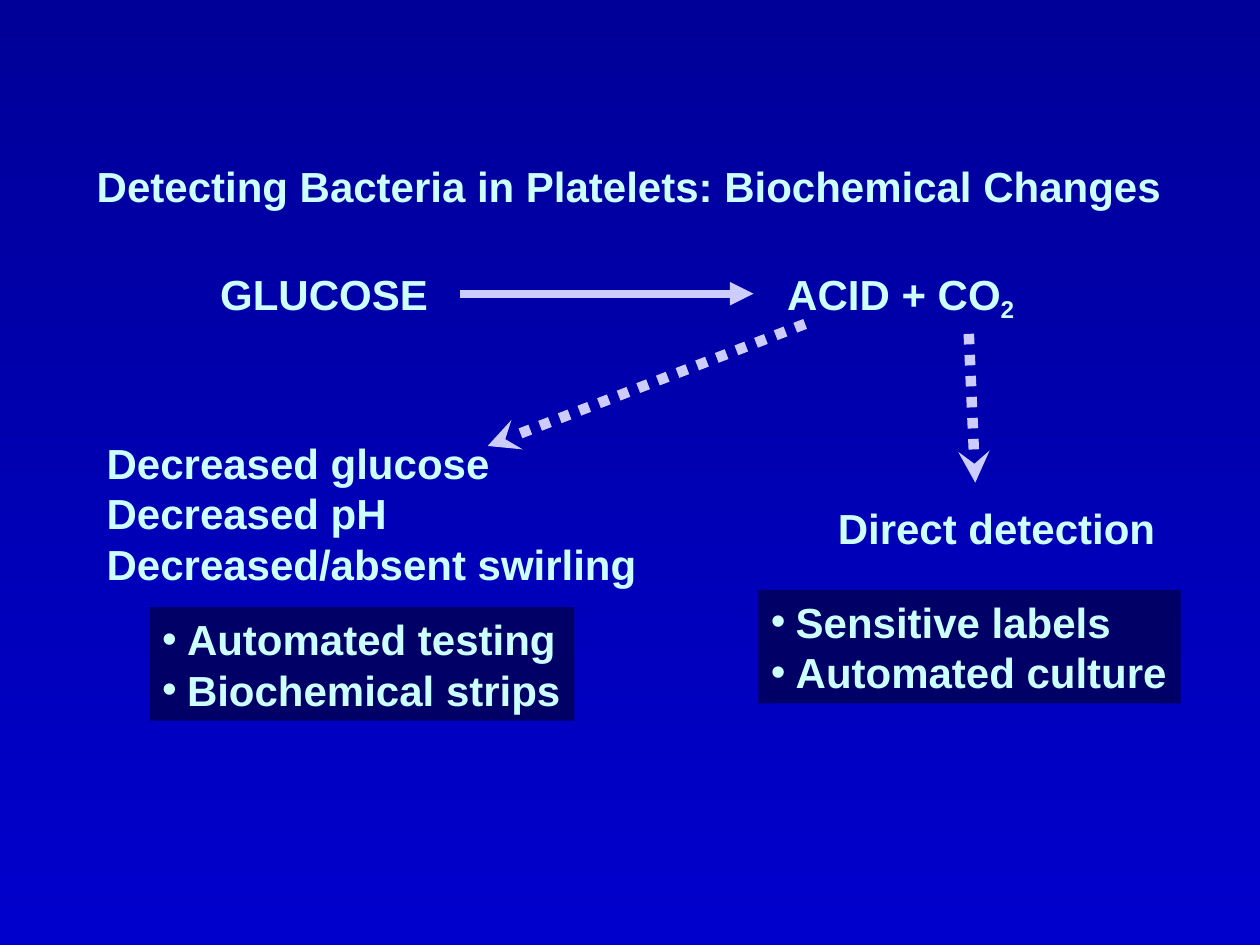
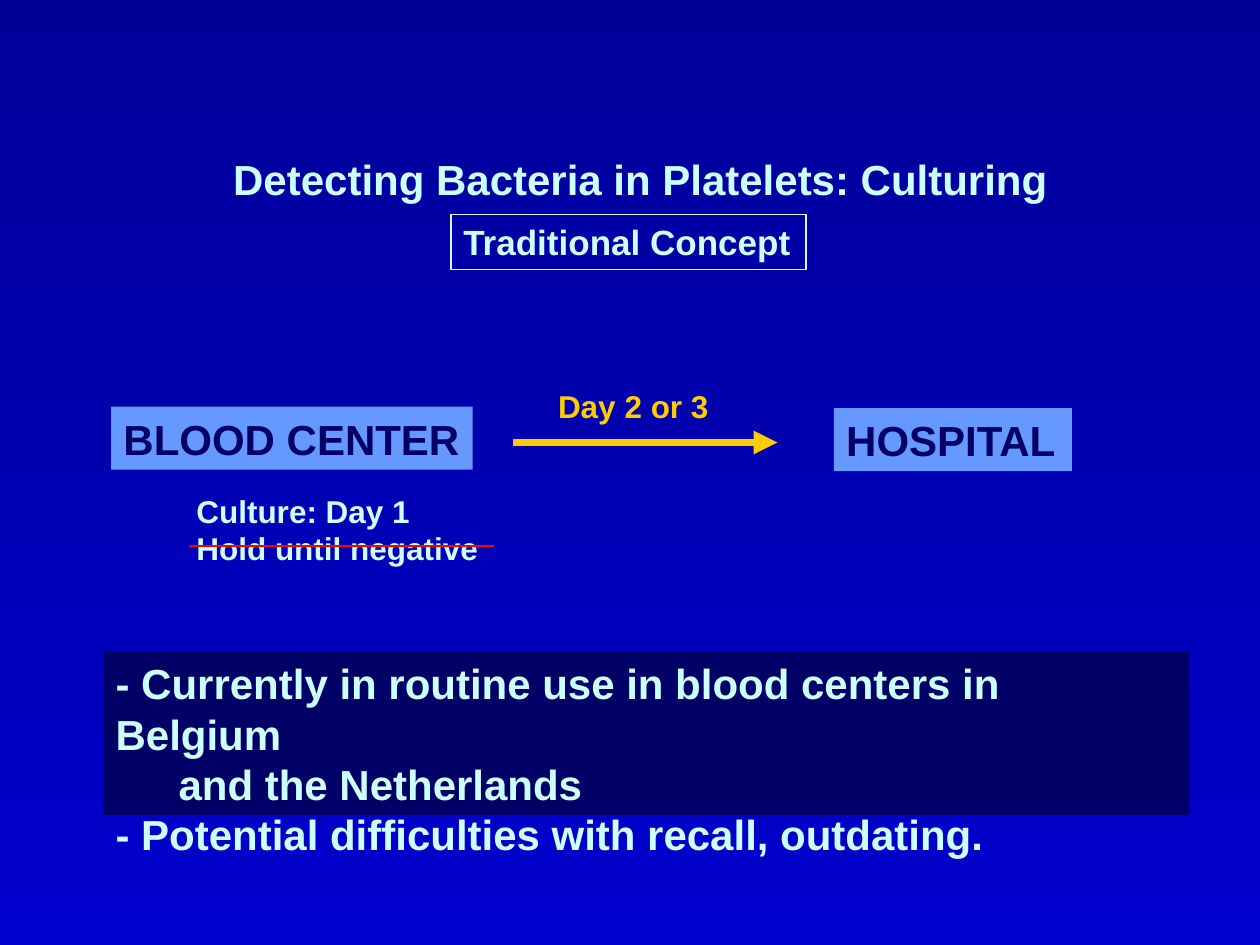
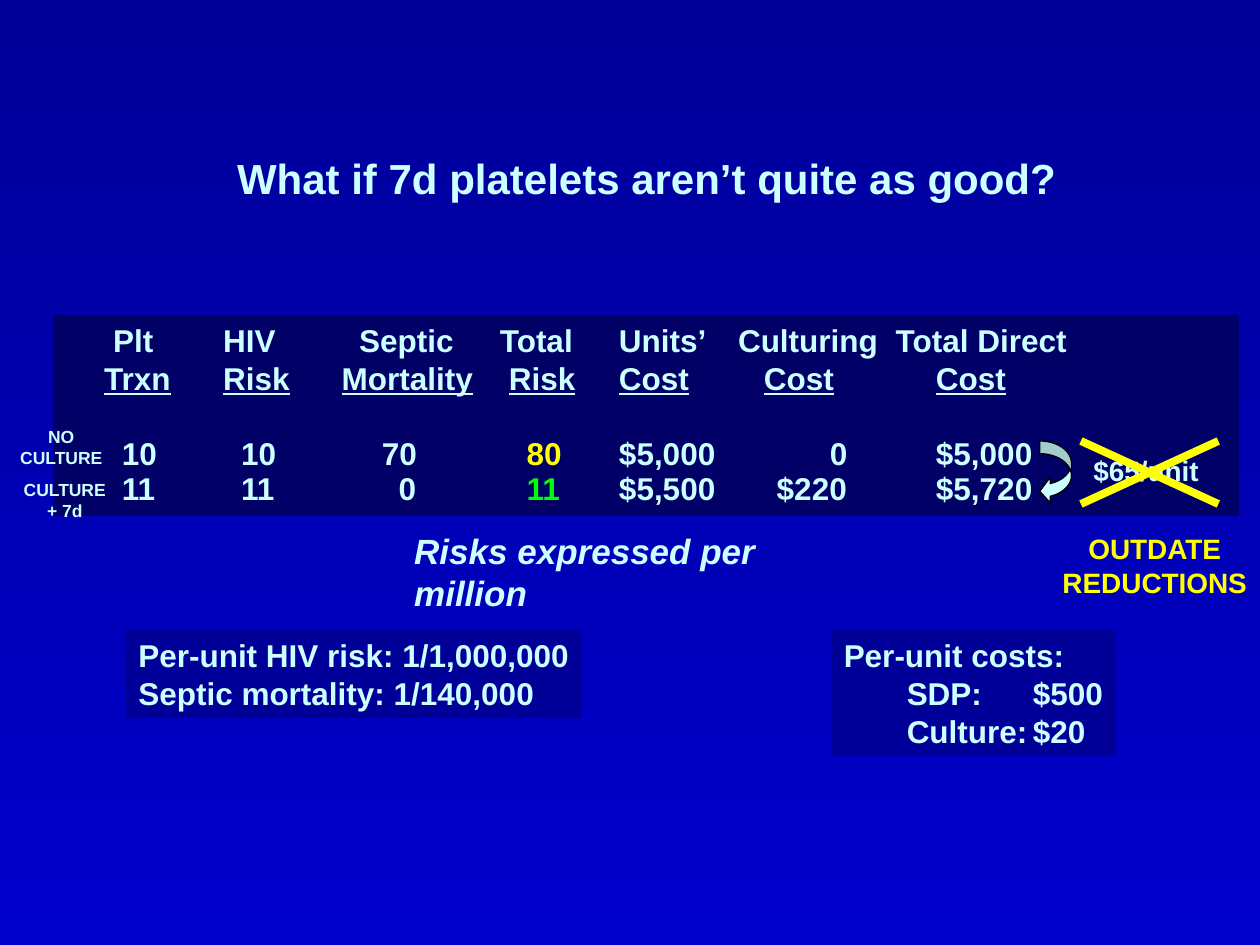
from lxml.etree import SubElement as Sub
from pptx import Presentation
from pptx.dml.color import RGBColor
from pptx.enum.dml import MSO_LINE as Dash
from pptx.enum.shapes import MSO_CONNECTOR as Conn, MSO_SHAPE as Form
from pptx.enum.text import MSO_ANCHOR as Anchor, MSO_AUTO_SIZE as Auto, PP_ALIGN as Align
from pptx.oxml.ns import qn
from pptx.util import Cm, Pt

PALE, NAVY, DEEP, BLUE = "CCFFFF", "000066", "000099", "0000CC"
SKY, LILAC, GOLD = "6699FF", "CCCCFF", "FFCC00"
YELLOW, GREEN, RED, BLACK = "FFFF00", "00FF00", "FF0000", "000000"
PLAIN = "{2D5ABB26-0587-4C30-8999-92F81FD0307C}"
TABS = (1.27, 3.81)
HANG = 0.5

SLIDES = [
    dict(
        layout=3,
        title=("Detecting Bacteria in Platelets: Biochemical Changes", (1.7, 3.1, 22.5, 1.27)),
        lists=[
            (["• Automated testing", "• Biochemical strips"], (3.02, 12.24, 8.56, 2.29), {}),
            (["• Sensitive labels", "• Automated culture"], (15.29, 11.89, 8.51, 2.29), {}),
        ],
        boxes=[
            (["GLUCOSE"], (4.19, 5.28, 4.7, 1.27), {}),
            (["ACID + CO_2"], (15.62, 5.28, 5.2, 1.27), {}),
            (["Decreased glucose", "Decreased pH", "Decreased/absent swirling"],
             (1.9, 8.69, 11.2, 3.3), {}),
            (["Direct detection"], (16.64, 10.01, 6.9, 1.27), {}),
        ],
        lines=[
            ((9.27, 5.92, 15.19, 5.92), LILAC, 4.5, "triangle", None),
            ((16.23, 6.53, 9.83, 8.99), LILAC, 6, "stealth", Dash.ROUND_DOT),
            ((19.53, 6.73, 19.66, 9.73), LILAC, 6, "stealth", Dash.ROUND_DOT),
        ],
    ),
    dict(
        layout=1,
        title=("Detecting Bacteria in Platelets: Culturing", (4.45, 2.97, 17.5, 1.27)),
        lists=[
            (["- Currently in routine use in blood centers in Belgium",
              "\tand the Netherlands",
              "- Potential difficulties with recall, outdating."],
             (2.08, 13.13, 21.89, 3.3), dict(right=0.5)),
        ],
        boxes=[
            (["Traditional Concept"], (9.09, 4.32, 7.16, 1.12), dict(size=20, edge=PALE)),
            (["BLOOD CENTER"], (2.24, 8.2, 7.29, 1.27), dict(fill=SKY, color=NAVY)),
            (["HOSPITAL"], (16.81, 8.23, 4.8, 1.27), dict(fill=SKY, color=NAVY)),
            (["Culture: Day 1", "Hold until negative"], (3.71, 9.78, 6.2, 1.78), dict(size=18)),
            (["Day 2 or 3"], (11, 7.67, 3.56, 1.02), dict(size=18, color=GOLD)),
        ],
        lines=[
            ((10.34, 8.92, 15.67, 8.92), GOLD, 4.5, "triangle", None),
            ((3.81, 11, 9.96, 11), RED, 1, None, None),
        ],
    ),
    dict(
        layout=5,
        title=("What if 7d platelets aren’t quite as good?", (4.53, 2.95, 18, 1.27)),
        table=True,
        boxes=[
            (["Per-unit costs:", "\tSDP:\t$500", "\tCulture:\t$20"],
             (16.76, 12.7, 5.74, 2.54), dict(size=18, fill=DEEP)),
            (["Per-unit HIV risk: 1/1,000,000", "Septic mortality: 1/140,000"],
             (2.54, 12.7, 9.19, 1.78), dict(size=18, fill=DEEP)),
            (["Risks expressed per million"], (8.1, 10.54, 9.2, 1.09), dict(size=20, italic=True)),
            (["$65/unit"], (21.79, 9.02, 2.64, 0.94), dict(size=16)),
            (["OUTDATE", "REDUCTIONS"], (21.16, 10.59, 4.24, 1.63),
             dict(size=16, color=YELLOW, mid=True)),
            (["NO", "CULTURE"], (0.13, 8.46, 2.21, 1.09), dict(size=10, mid=True)),
            (["CULTURE", "+ 7d"], (0.2, 9.53, 2.21, 1.09), dict(size=10, mid=True)),
        ],
        lines=[
            ((21.79, 8.89, 24.56, 10.16), YELLOW, 4.5, None, None),
            ((21.79, 10.16, 24.56, 8.89), YELLOW, 4.5, None, None),
        ],
        arrow=(20.96, 8.89, 0.64, 1.27),
    ),
]

EDGES = [1.06, 4.2, 6.6, 9.8, 12.2, 14.7, 18, 24.98]
COSTS = [
    [("Plt", 2.28), ("Trxn", 2.1), ("10", 2.46), ("11", 2.46)],
    [("HIV", 4.5), ("Risk", 4.5), ("10", 4.86), ("11", 4.86)],
    [("Septic", 7.24), ("Mortality", 6.89), ("70", 7.7), ("0", 8.04)],
    [("Total", 10.08), ("Risk", 10.26), ("80", 10.62), ("11", 10.62)],
    [("Units’", 12.48), ("Cost", 12.48), ("$5,000", 12.48), ("$5,500", 12.48)],
    [("Culturing", 14.88), ("Cost", 15.4), ("0", 16.73), ("$220", 15.66)],
    [("Total Direct", 18.06), ("Cost", 18.87), ("$5,000", 18.87), ("$5,720", 18.87)],
]
ROWS = [0.89, 0.77, 1.51, 0.89]
MARKS = {(2, 3): YELLOW, (3, 3): GREEN}


def rgb(code):
    """Turn a hex string into a colour."""
    return RGBColor.from_string(code)


def put(obj, vals):
    """Set each attribute named in a dict."""
    for key, val in vals.items():
        setattr(obj, key, val)


def place(shape, spot):
    """Move and size a shape in centimetres."""
    put(shape, dict(zip(("left", "top", "width", "height"), map(Cm, spot))))


def add_run(para, text, size=24, color=PALE, **more):
    """Add one bold run in the deck's font."""
    run = para.add_run()
    run.text = text
    put(run.font, dict(name="Arial", size=Pt(size), bold=True, **more))
    run.font.color.rgb = rgb(color)
    return run


def write(shape, paras, size=24, color=PALE, mid=False, right=0, list_=False, **more):
    """Fill a shape with formatted paragraphs."""
    frame = shape.text_frame
    put(frame, dict(word_wrap=True, auto_size=Auto.NONE, vertical_anchor=Anchor.TOP,
                    margin_left=Cm(0 if mid else 0.25), margin_right=Cm(right),
                    margin_top=Cm(0.13), margin_bottom=Cm(0.13)))
    for num, text in enumerate(paras):
        para = frame.add_paragraph() if num else frame.paragraphs[0]
        put(para, dict(alignment=Align.CENTER if mid else Align.LEFT, space_before=Pt(0)))
        props = para._p.get_or_add_pPr()
        dot = text.startswith("• ")
        if list_:
            hang = Cm(HANG) if dot else 0
            props.set("marL", str(hang))
            props.set("indent", str(-hang))
            if dot:
                Sub(props, qn("a:buChar"), char="•")
            else:
                Sub(props, qn("a:buNone"))
        if text.startswith("\t"):
            stops = Sub(props, qn("a:tabLst"))
            for stop in TABS:
                Sub(stops, qn("a:tab"), pos=str(Cm(stop)), algn="l")
        base, _, low = text.removeprefix("• ").partition("_")
        add_run(para, base, size, color, **more)
        if low:
            run = add_run(para, low, size, color, **more)
            run.font._element.set("baseline", "-20000")


def paint(shape, fill=None, edge=None):
    """Set the fill and the outline of a shape."""
    if fill:
        shape.fill.solid()
        shape.fill.fore_color.rgb = rgb(fill)
    else:
        shape.fill.background()
    if edge:
        shape.line.color.rgb = rgb(edge)
        shape.line.width = Pt(0.75)
    else:
        shape.line.fill.background()


def add_box(slide, paras, spot, fill=None, edge=None, **form):
    """Add a text box, or a rectangle when it has a fill or an outline."""
    area = map(Cm, spot)
    if fill or edge:
        box = slide.shapes.add_shape(Form.RECTANGLE, *area)
        box.shadow.inherit = False
        paint(box, fill, edge)
    else:
        box = slide.shapes.add_textbox(*area)
    write(box, paras, **form)


def add_line(slide, ends, color, width, tip, dash):
    """Add a straight line with an optional arrowhead."""
    line = slide.shapes.add_connector(Conn.STRAIGHT, *map(Cm, ends))
    line.line.color.rgb = rgb(color)
    line.line.width = Pt(width)
    if dash:
        line.line.dash_style = dash
    if tip:
        Sub(line.line._get_or_add_ln(), qn("a:tailEnd"), type=tip)
    Sub(line._element.spPr, qn("a:effectLst"))


def add_costs(slide):
    """Add the table of risks and costs."""
    area = (EDGES[0], 6.35, EDGES[-1] - EDGES[0], sum(ROWS))
    table = slide.shapes.add_table(len(ROWS), len(COSTS), *map(Cm, area)).table
    put(table, dict(first_row=False, horz_banding=False))
    table._tbl.tblPr.find(qn("a:tableStyleId")).text = PLAIN
    for row, tall in zip(table.rows, ROWS):
        row.height = Cm(tall)
    for col, cells in enumerate(COSTS):
        table.columns[col].width = Cm(EDGES[col + 1] - EDGES[col])
        for row, (text, left) in enumerate(cells):
            cell = table.cell(row, col)
            cell.fill.solid()
            cell.fill.fore_color.rgb = rgb(NAVY)
            put(cell, dict(margin_left=Cm(left - EDGES[col]), margin_right=0,
                           margin_top=0, margin_bottom=0,
                           vertical_anchor=Anchor.TOP if row == 3 else Anchor.BOTTOM))
            add_run(cell.text_frame.paragraphs[0], text, 18,
                    MARKS.get((row, col), PALE), underline=row == 1)


def add_arrow(slide, spot):
    """Add the curved arrow between the two totals."""
    arrow = slide.shapes.add_shape(Form.CURVED_LEFT_ARROW, *map(Cm, spot))
    arrow.shadow.inherit = False
    for num, val in enumerate((0.4, 0.8, 0.33)):
        arrow.adjustments[num] = val
    paint(arrow, PALE, BLACK)


def main():
    """Build the deck."""
    prs = Presentation()
    put(prs, dict(slide_width=Cm(25.4), slide_height=Cm(19.05)))
    back = prs.slide_master.background.fill
    back.gradient()
    back.gradient_angle = 270
    for stop, color, pos in zip(back.gradient_stops, (DEEP, BLUE), (0, 1)):
        stop.color.rgb = rgb(color)
        stop.position = pos
    for data in SLIDES:
        slide = prs.slides.add_slide(prs.slide_layouts[data["layout"]])
        text, spot = data["title"]
        place(slide.shapes.title, spot)
        write(slide.shapes.title, [text])
        bodies = list(slide.placeholders)[1:]
        for body, (paras, spot, form) in zip(bodies, data.get("lists", [])):
            place(body, spot)
            paint(body, NAVY)
            write(body, paras, list_=True, **form)
        if data.get("table"):
            add_costs(slide)
        for paras, spot, form in data["boxes"]:
            add_box(slide, paras, spot, **form)
        for line in data["lines"]:
            add_line(slide, *line)
        if "arrow" in data:
            add_arrow(slide, data["arrow"])
    prs.save("out.pptx")


if __name__ == "__main__":
    main()
